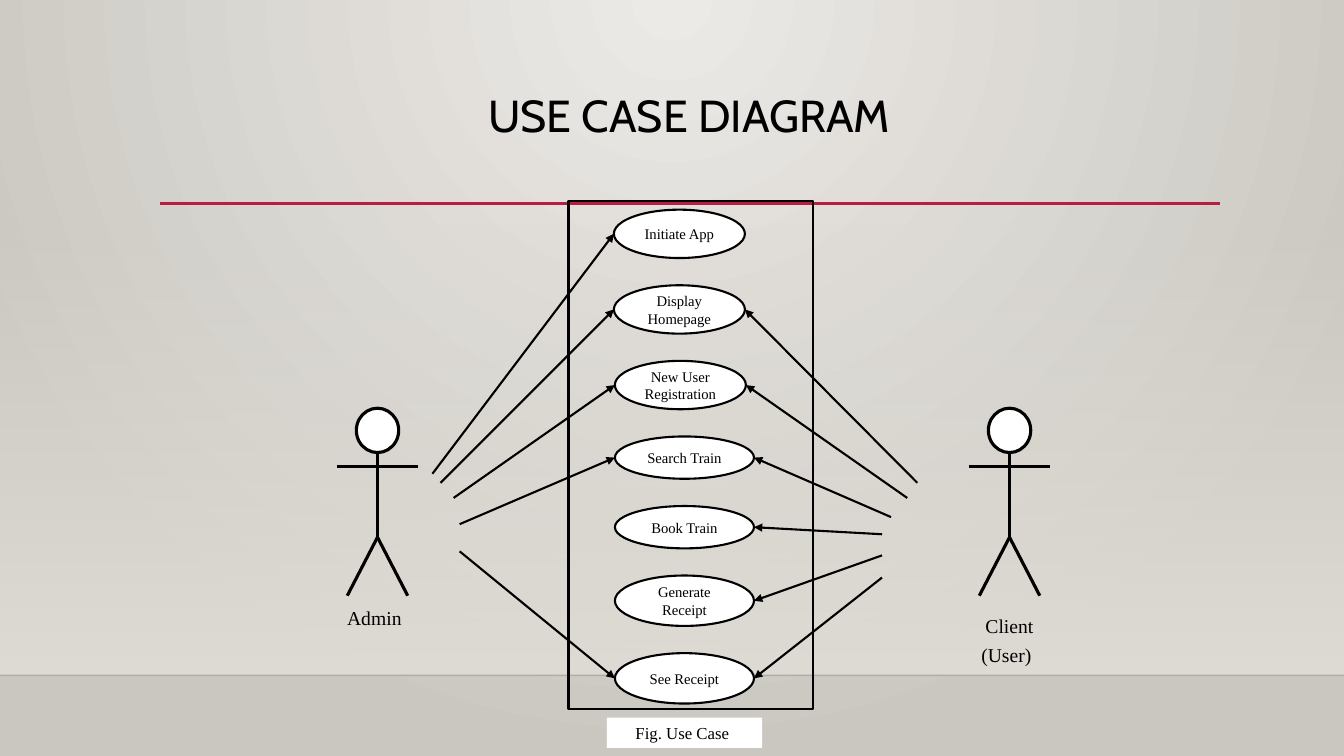
from dataclasses import dataclass
from typing import Optional

from lxml.etree import SubElement
from pptx import Presentation
from pptx.dml.color import RGBColor
from pptx.enum.shapes import MSO_CONNECTOR as Conn, MSO_SHAPE as Shape
from pptx.enum.text import MSO_ANCHOR as Anchor, PP_ALIGN as Align
from pptx.oxml.ns import qn
from pptx.util import Inches, Pt

CELL = Inches(0.1)
COLS, ROWS = 133.33, 75
BLACK, WHITE, SAND, RED = "000000", "FFFFFF", "DFDBD5", "B71E42"
SERIF = "Times New Roman"
Point = tuple[float, float]
Box = tuple[float, float, float, float]


@dataclass
class Run:
    text: str
    size: float
    font: str = SERIF


@dataclass
class Actor:
    center: float
    label_top: float
    label_height: float
    label: list[list[Run]]


@dataclass
class UseCase:
    text: str
    box: Box
    admin: Optional[Point] = None
    client: Optional[Point] = None


def cells(*values: float) -> list[int]:
    return [round(v * CELL) for v in values]


def rgb(color: str) -> RGBColor:
    return RGBColor.from_string(color)


def set_alpha(color_element, percent: int) -> None:
    SubElement(color_element, qn("a:alpha")).set("val", str(percent * 1000))


def set_gradient(fill, colors: tuple[str, str]) -> None:
    fill.gradient()
    for position, (stop, color) in enumerate(zip(fill.gradient_stops, colors)):
        stop.position = position
        stop.color.rgb = rgb(color)


def add_line(s, start: Point, end: Point, color: str = BLACK, width: float = 2.25, arrow: bool = False):
    line = s.shapes.add_connector(Conn.STRAIGHT, *cells(*start, *end))
    line.line.color.rgb = rgb(color)
    line.line.width = Pt(width)
    if arrow:
        SubElement(line.line._get_or_add_ln(), qn("a:tailEnd")).set("type", "triangle")
    SubElement(line._element.spPr, qn("a:effectLst"))
    return line


def add_block(s, kind: Shape, box: Box, fill: Optional[str] = None, line: float = 0):
    sp = s.shapes.add_shape(kind, *cells(*box))
    sp.shadow.inherit = False
    if fill:
        sp.fill.solid()
        sp.fill.fore_color.rgb = rgb(fill)
    else:
        sp.fill.background()
    if line:
        sp.line.color.rgb = rgb(BLACK)
        sp.line.width = Pt(line)
    else:
        sp.line.fill.background()
    return sp


def write(sp, paragraphs: list[list[Run]], anchor: Anchor = Anchor.TOP, spacing: float = 1) -> None:
    tf = sp.text_frame
    tf.word_wrap = True
    tf.vertical_anchor = anchor
    for i, runs in enumerate(paragraphs):
        p = tf.paragraphs[0] if i == 0 else tf.add_paragraph()
        p.alignment = Align.CENTER
        p.line_spacing = spacing
        for run in runs:
            r = p.add_run()
            r.text = run.text
            r.font.size = Pt(run.size)
            r.font.name = run.font
            r.font.color.rgb = rgb(BLACK)


def add_backdrop(s) -> None:
    set_gradient(s.background.fill, ("ECEAE7", "CAC7C1"))
    grad = s.element.xpath("./p:cSld/p:bg//a:gradFill")[0]
    for lin in grad.findall(qn("a:lin")):
        grad.remove(lin)
    circle = SubElement(grad, qn("a:path"))
    circle.set("path", "circle")
    focus = SubElement(circle, qn("a:fillToRect"))
    for side, share in zip("ltrb", (43, 0, 43, 100)):
        focus.set(side, str(share * 1000))

    haze = add_block(s, Shape.RECTANGLE, (0, 22.1, COLS, 44.9))
    set_gradient(haze.fill, (SAND, SAND))
    haze.fill.gradient_angle = 270
    set_alpha(haze._element.xpath(".//a:gs//a:srgbClr")[0], 0)

    floor = add_line(s, (0, 67), (COLS, 67), "000001", 1)
    set_alpha(floor._element.xpath(".//a:ln//a:srgbClr")[0], 20)
    add_line(s, (15.9, 20.2), (121, 20.2), RED, 2.5)


def add_actor(s, actor: Actor) -> None:
    x, hip = actor.center, 53.3
    add_block(s, Shape.OVAL, (x - 2.1, 40.5, 4.2, 4.4), WHITE, 2.25)
    add_line(s, (x, 44.8), (x, hip))
    add_line(s, (x - 4.05, 46.3), (x + 4.05, 46.3))
    for foot in (-3, 3):
        add_line(s, (x, hip), (x + foot, 59.1))
    label = s.shapes.add_textbox(*cells(x - 4.05, actor.label_top, 8.1, actor.label_height))
    write(label, actor.label)


def add_use_case(s, case: UseCase) -> None:
    left, top, width, height = case.box
    middle = top + height / 2
    oval = add_block(s, Shape.OVAL, case.box, WHITE, 1.5)
    tf = oval.text_frame
    tf.margin_left = tf.margin_right = CELL // 2
    tf.margin_top = tf.margin_bottom = 0
    write(oval, [[Run(case.text, 10.5)]], Anchor.MIDDLE)
    for start, edge in ((case.admin, left), (case.client, left + width)):
        if start:
            add_line(s, start, (edge, middle), width=1.5, arrow=True)


ACTORS = [
    Actor(37.45, 59.1, 3.8, [[Run("Admin", 14), Run(" ", 18)]]),
    Actor(100.15, 60.4, 6, [[Run("Client", 14)], [Run("(User)", 14), Run(" ", 18)]]),
]
USE_CASES = [
    UseCase("Initiate App", (60.9, 20.8, 13, 4.8), (42.9, 47)),
    UseCase("Display Homepage", (60.9, 28.3, 13, 4.8), (43.7, 47.9), (91, 47.9)),
    UseCase("New User Registration", (61, 35.8, 13, 4.8), (45, 49.4), (90, 49.4)),
    UseCase("Search Train", (61, 43.3, 13.8, 4.2), (45.6, 52), (88.4, 51.3)),
    UseCase("Book Train", (61, 50.2, 13.8, 4.2), None, (87.5, 53)),
    UseCase("Generate Receipt", (61, 57.1, 13.8, 5), None, (87.5, 55.1)),
    UseCase("See Receipt", (61, 64.8, 13.8, 5), (45.6, 54.7), (87.5, 57.3)),
]

prs = Presentation()
prs.slide_width, prs.slide_height = cells(COLS, ROWS)
s = prs.slides.add_slide(prs.slide_layouts[6])

add_backdrop(s)
title = s.shapes.add_textbox(*cells(15.9, 8.8, 105, 11.5))
write(title, [[Run("USE CASE DIAGRAM", 32, "Cabin")]], spacing=0.9)
for actor in ACTORS:
    add_actor(s, actor)
for case in USE_CASES:
    add_use_case(s, case)
caption = add_block(s, Shape.RECTANGLE, (60.2, 71.2, 15.4, 3), WHITE)
write(caption, [[Run("Fig. Use Case ", 12)]], Anchor.MIDDLE)
add_block(s, Shape.RECTANGLE, (56.4, 19.9, 24.3, 50.4), line=1.5)

prs.save("out.pptx")
